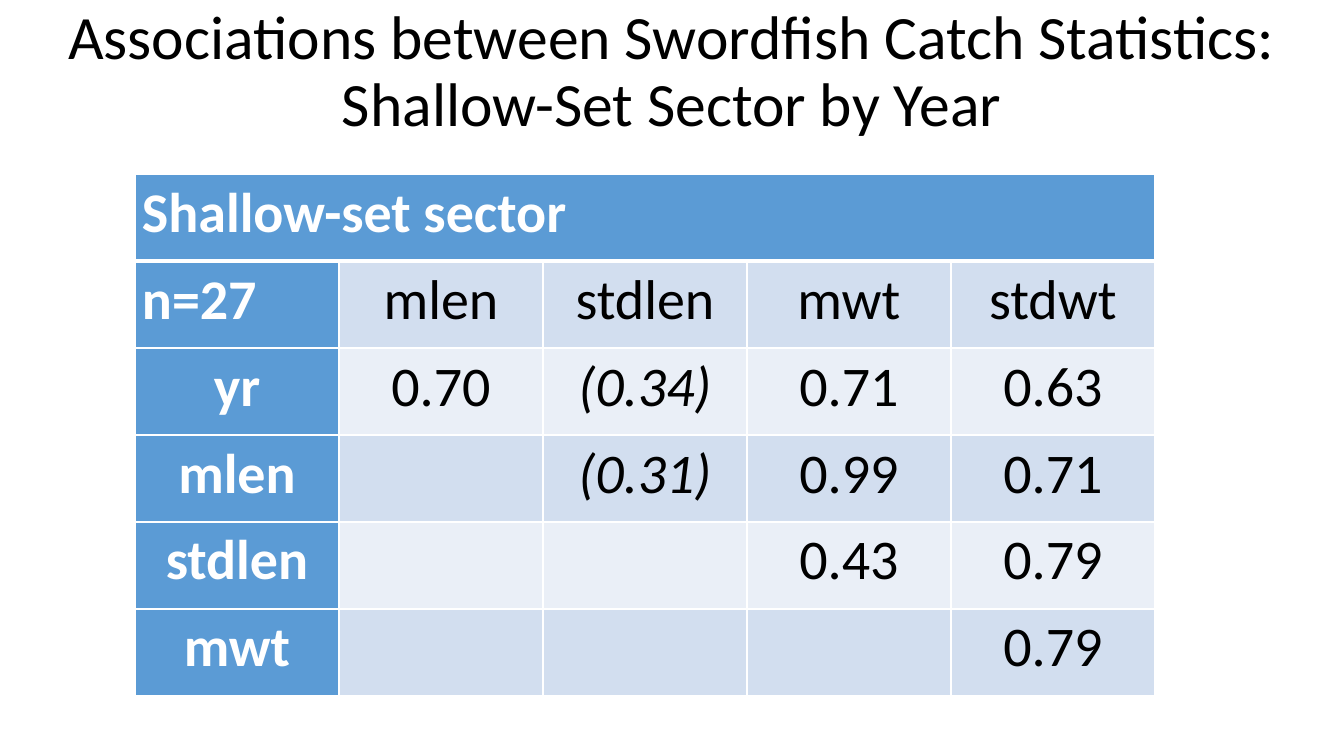
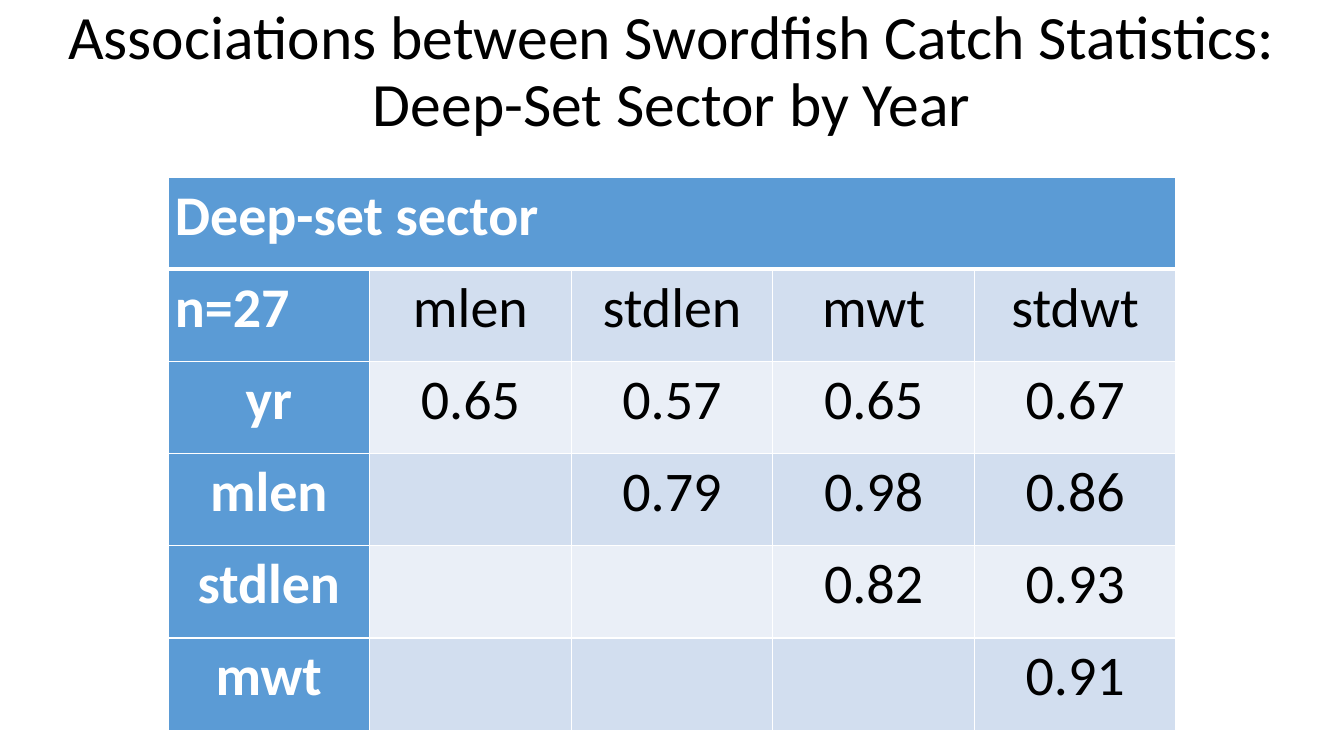
from lxml import etree
from pptx import Presentation
from pptx.dml.color import RGBColor
from pptx.enum.text import MSO_ANCHOR, PP_ALIGN
from pptx.oxml.ns import qn
from pptx.util import Emu, Pt

MIDDLE = MSO_ANCHOR.MIDDLE
CENTER, LEFT = PP_ALIGN.CENTER, PP_ALIGN.LEFT

FONT = "Calibri"
BLACK, WHITE = "000000", "FFFFFF"
HEADER_BLUE = "5B9BD5"
BAND_COLORS = ("EAEFF7", "D2DEEF")
TITLE_SIZE, CELL_SIZE = 44, 40
TITLE_SPACING, CELL_SPACING = 0.9, 1.07
THIN_LINE, THICK_LINE = 1, 3

SLIDE_WIDTH, SLIDE_HEIGHT = 1344, 756
TITLE_HEIGHT = 146
CELL_MARGIN = 7
EMU_PER_PIXEL = 12192000 / SLIDE_WIDTH

TITLE = "Associations between Swordfish Catch Statistics:\n{} Sector by Year"
COLUMN_LABELS = ["n=27", "mlen", "stdlen", "mwt", "stdwt"]
SECTORS = [
    {
        "title_name": "Shallow-Set",
        "heading": "Shallow-set sector",
        "position": (135, 174),
        "cell_size": (204, 87),
        "rows": [
            ["yr", "0.70", "(0.34)", "0.71", "0.63"],
            ["mlen", "", "(0.31)", "0.99", "0.71"],
            ["stdlen", "", "", "0.43", "0.79"],
            ["mwt", "", "", "", "0.79"],
        ],
    },
    {
        "title_name": "Deep-Set",
        "heading": "Deep-set sector",
        "position": (168, 177),
        "cell_size": (201.6, 92.2),
        "rows": [
            ["yr", "0.65", "0.57", "0.65", "0.67"],
            ["mlen", "", "0.79", "0.98", "0.86"],
            ["stdlen", "", "", "0.82", "0.93"],
            ["mwt", "", "", "", "0.91"],
        ],
    },
]


def px(length):
    return Emu(round(length * EMU_PER_PIXEL))


def color(value):
    return RGBColor.from_string(value)


def style_paragraph(paragraph, size, text_color, alignment, spacing):
    paragraph.alignment = alignment
    paragraph.line_spacing = spacing
    paragraph.font.name = FONT
    paragraph.font.size = Pt(size)
    paragraph.font.color.rgb = color(text_color)


def add_title(slide, text):
    title = slide.shapes.add_textbox(0, 0, px(SLIDE_WIDTH), px(TITLE_HEIGHT))
    frame = title.text_frame
    frame.word_wrap = True
    frame.vertical_anchor = MIDDLE
    paragraph = frame.paragraphs[0]
    paragraph.text = text
    style_paragraph(paragraph, TITLE_SIZE, BLACK, CENTER, TITLE_SPACING)


def set_borders(cell, row):
    widths = {
        "a:lnL": THIN_LINE,
        "a:lnR": THIN_LINE,
        "a:lnT": THICK_LINE if row == 1 else THIN_LINE,
        "a:lnB": THICK_LINE if row == 0 else THIN_LINE,
    }
    properties = cell._tc.get_or_add_tcPr()
    for tag, width in widths.items():
        line = etree.SubElement(properties, qn(tag), w=str(Pt(width)))
        fill = etree.SubElement(line, qn("a:solidFill"))
        etree.SubElement(fill, qn("a:srgbClr"), val=WHITE)


def style_cell(cell, row, column, text):
    is_header = row == 0 or column == 0
    set_borders(cell, row)
    cell.fill.solid()
    cell.fill.fore_color.rgb = color(HEADER_BLUE if is_header else BAND_COLORS[row % 2])
    cell.margin_left = cell.margin_right = px(CELL_MARGIN)
    cell.margin_top = cell.margin_bottom = 0
    paragraph = cell.text_frame.paragraphs[0]
    paragraph.text = text
    alignment = LEFT if column == 0 and row < 2 else CENTER
    text_color = WHITE if is_header else BLACK
    style_paragraph(paragraph, CELL_SIZE, text_color, alignment, CELL_SPACING)
    paragraph.font.bold = is_header
    paragraph.font.italic = text.startswith("(")


def add_sector_table(slide, sector):
    heading_row = [sector["heading"]] + [""] * (len(COLUMN_LABELS) - 1)
    rows = [heading_row, COLUMN_LABELS] + sector["rows"]
    left, top = sector["position"]
    cell_width, cell_height = sector["cell_size"]
    table = slide.shapes.add_table(
        len(rows), len(COLUMN_LABELS), px(left), px(top),
        px(cell_width * len(COLUMN_LABELS)), px(cell_height * len(rows)),
    ).table
    table.first_col = True
    for column in table.columns:
        column.width = px(cell_width)
    for row in table.rows:
        row.height = px(cell_height)
    for row, texts in enumerate(rows):
        for column, text in enumerate(texts):
            style_cell(table.cell(row, column), row, column, text)
    table.cell(0, 0).merge(table.cell(0, len(COLUMN_LABELS) - 1))


presentation = Presentation()
presentation.slide_width = px(SLIDE_WIDTH)
presentation.slide_height = px(SLIDE_HEIGHT)
blank_layout = presentation.slide_layouts[6]
for sector in SECTORS:
    slide = presentation.slides.add_slide(blank_layout)
    add_title(slide, TITLE.format(sector["title_name"]))
    add_sector_table(slide, sector)
presentation.save("out.pptx")
